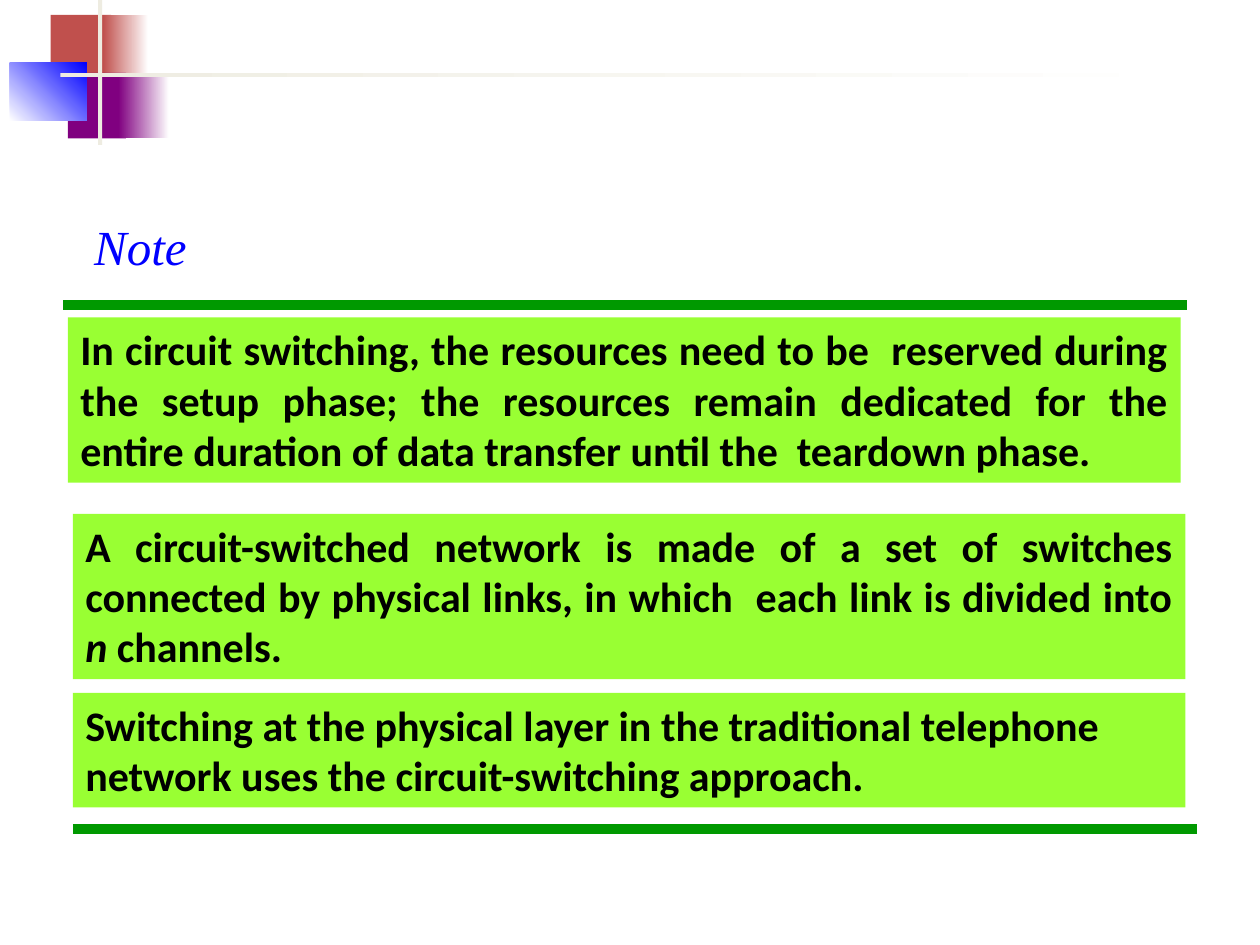
from dataclasses import dataclass

from lxml import etree
from pptx import Presentation
from pptx.dml.color import RGBColor
from pptx.enum.shapes import MSO_CONNECTOR, MSO_SHAPE
from pptx.enum.text import MSO_ANCHOR, MSO_AUTO_SIZE, PP_ALIGN
from pptx.oxml.ns import qn
from pptx.util import Cm, Pt

RECT = MSO_SHAPE.RECTANGLE
STRAIGHT = MSO_CONNECTOR.STRAIGHT
GROW = MSO_AUTO_SIZE.SHAPE_TO_FIT_TEXT
TOP = MSO_ANCHOR.TOP
LEFT, JUSTIFY = PP_ALIGN.LEFT, PP_ALIGN.JUSTIFY

COLORS = {
    "red": "C0504D",
    "purple": "800080",
    "blue": "0000FF",
    "cream": "EEECE1",
    "white": "FFFFFF",
    "green": "009900",
    "lime": "99FF33",
    "black": "000000",
}
BODY = {"name": "Calibri", "size": Pt(24), "bold": True}
HEADING = {"name": "Times New Roman", "size": Pt(28), "italic": True}
BOX_WIDTH = 22.43
RULE_WIDTH = 22.66


@dataclass
class Block:
    """Decorative rectangle in cm; two colours make a gradient."""
    left: float
    top: float
    width: float
    height: float
    colors: tuple[str, ...]
    angle: float = 0


@dataclass
class NoteBox:
    """Lime text box in cm; each run is its text and whether it is italic."""
    left: float
    top: float
    height: float
    align: PP_ALIGN
    runs: tuple[tuple[str, bool], ...]


BLOCKS = [
    Block(1.02, 0.3, 1.22, 1.32, ("red",)),
    Block(2.08, 0.3, 0.91, 1.32, ("red", "white")),
    Block(1.37, 1.47, 1.17, 1.32, ("purple",)),
    Block(2.39, 1.47, 1.02, 1.32, ("purple", "white")),
    Block(0.2, 1.27, 1.55, 1.17, ("white", "blue"), 45),
    Block(1.98, 0, 0.08, 2.92, ("cream",)),
    Block(1.22, 1.47, 22.86, 0.08, ("cream", "white")),
]
RULES = [(1.27, 6.15), (1.47, 16.71)]
NOTES = [
    NoteBox(1.37, 6.4, 3.33, JUSTIFY, (
        ("In circuit switching, the resources need to be  reserved during "
         "the setup phase; the resources remain dedicated for the entire "
         "duration of data transfer until the  teardown phase.", False),
    )),
    NoteBox(1.47, 10.36, 3.33, JUSTIFY, (
        ("A circuit-switched network is made of a set of switches connected "
         "by physical links, in which  each link is divided into ", False),
        ("n", True),
        (" channels.", False),
    )),
    NoteBox(1.47, 13.97, 2.31, LEFT, (
        ("Switching at the physical layer in the traditional telephone "
         "network uses the circuit-switching approach.", False),
    )),
]


def rgb(name: str) -> RGBColor:
    return RGBColor.from_string(COLORS[name])


def add_block(s, block: Block):
    lengths = (block.left, block.top, block.width, block.height)
    shape = s.shapes.add_shape(RECT, *map(Cm, lengths))
    shape.shadow.inherit = False
    shape.line.fill.background()
    fill = shape.fill
    if len(block.colors) == 1:
        fill.solid()
        fill.fore_color.rgb = rgb(block.colors[0])
    else:
        fill.gradient()
        fill.gradient_angle = block.angle
        for stop, color, position in zip(fill.gradient_stops, block.colors, (0, 1)):
            stop.color.rgb = rgb(color)
            stop.position = position
    return shape


def add_rule(s, left: float, top: float) -> None:
    line = s.shapes.add_connector(
        STRAIGHT, Cm(left), Cm(top), Cm(left + RULE_WIDTH), Cm(top))
    line.line.color.rgb = rgb("green")
    line.line.width = Pt(6)
    etree.SubElement(line._element.spPr, qn("a:effectLst"))


def add_run(p, text: str, color: str, font: dict) -> None:
    r = p.add_run()
    r.text = text
    r.font.color.rgb = rgb(color)
    for name, value in font.items():
        setattr(r.font, name, value)


def add_note(s, note: NoteBox) -> None:
    block = Block(note.left, note.top, BOX_WIDTH, note.height, ("lime",))
    tf = add_block(s, block).text_frame
    tf.word_wrap = True
    tf.auto_size = GROW
    tf.vertical_anchor = TOP
    p = tf.paragraphs[0]
    p.alignment = note.align
    for text, italic in note.runs:
        add_run(p, text, "black", {**BODY, "italic": italic})


def add_heading(s, text: str) -> None:
    tf = s.shapes.add_textbox(Cm(1.65), Cm(4.24), Cm(2.44), Cm(1.45)).text_frame
    tf.word_wrap = False
    tf.auto_size = GROW
    add_run(tf.paragraphs[0], text, "blue", HEADING)


def main() -> None:
    prs = Presentation()
    prs.slide_width, prs.slide_height = Cm(25.4), Cm(19.05)
    s = prs.slides.add_slide(prs.slide_layouts[6])
    for block in BLOCKS:
        add_block(s, block)
    for left, top in RULES:
        add_rule(s, left, top)
    add_heading(s, "Note")
    for note in NOTES:
        add_note(s, note)
    prs.save("out.pptx")


if __name__ == "__main__":
    main()
